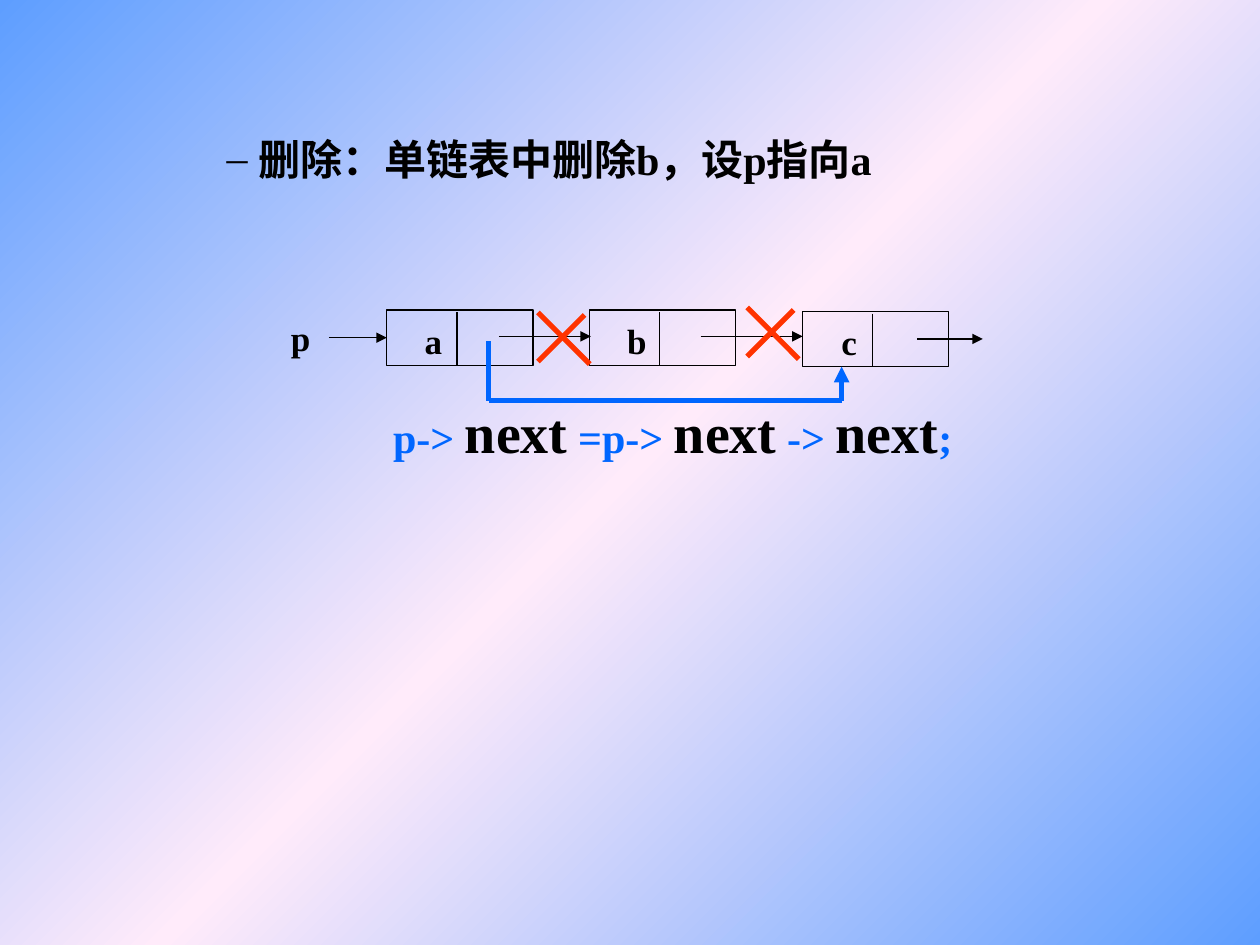
from copy import deepcopy
from pptx import Presentation
from pptx import util as u
from pptx.dml import color
from pptx.enum import shapes, text
from pptx.oxml import ns, xmlchemy as xc

WIDE, HIGH = u.Inches(10), u.Inches(7.5)
COLS, ROWS = 100, 75
BLACK, BLUE, RED = "000000", "0066FF", "FF3300"
FACE = "Times New Roman"


def hue(code):
    return color.RGBColor.from_string(code)


def col(x):
    return round(x * WIDE / COLS)


def row(y):
    return round(y * HIGH / ROWS)


def grid(x, y, w, h):
    return col(x), row(y), col(w), row(h)


def put(item, form):
    for key, val in form.items():
        setattr(item, key, val)


def child(root, tag, **atts):
    node = xc.OxmlElement(tag)
    for key, val in atts.items():
        node.set(key, val)
    root.append(node)
    return node


def back(slide):
    fill = slide.background.fill
    fill.gradient()
    fill.gradient_angle = 135
    stops = slide.element.find(".//" + ns.qn("a:gsLst"))
    stops.append(deepcopy(stops[0]))
    tones = ("5E9EFF", "FFEBFA", "5E9EFF")
    for stop, spot, tone in zip(fill.gradient_stops, (0, 0.5, 1), tones):
        stop.position = spot
        stop.color.rgb = hue(tone)


def line(root, start, end, tone=BLACK, width=0.75, head=False):
    x, y = start
    right, low = end
    wire = root.shapes.add_connector(
        shapes.MSO_CONNECTOR.STRAIGHT, col(x), row(y), col(right), row(low))
    wire.line.color.rgb = hue(tone)
    wire.line.width = u.Pt(width)
    if head:
        child(wire.line._get_or_add_ln(), "a:tailEnd", type="triangle")
    child(wire._element.spPr, "a:effectLst")


def write(root, box, runs, wrap=False, center=True):
    frame = root.shapes.add_textbox(*grid(*box)).text_frame
    put(frame, {"word_wrap": wrap, "vertical_anchor":
                text.MSO_ANCHOR.MIDDLE if center else text.MSO_ANCHOR.TOP})
    para = frame.paragraphs[0]
    if center:
        para.alignment = text.PP_ALIGN.CENTER
    for words, size, tone in runs:
        run = para.add_run()
        run.text = words
        put(run.font, {"name": FACE, "size": u.Pt(size), "bold": True})
        run.font.color.rgb = hue(tone)
    return para


def head(slide, box):
    para = write(slide, box, [("删除：单链表中删除b，设p指向a", 24, BLACK)],
                 wrap=True, center=False)
    props = para._p.get_or_add_pPr()
    for key, val in {"lvl": "3", "marL": str(u.Inches(1.75)),
                     "indent": str(-u.Inches(0.25))}.items():
        props.set(key, val)
    child(child(props, "a:buClr"), "a:srgbClr", val=BLACK)
    child(props, "a:buFont", typeface=FACE)
    child(props, "a:buChar", char="–")


def cell(root, box, name):
    x, y, w, h = box
    rect = root.shapes.add_shape(shapes.MSO_SHAPE.RECTANGLE, *grid(*box))
    rect.shadow.inherit = False
    rect.fill.background()
    rect.line.color.rgb = hue(BLACK)
    rect.line.width = u.Pt(0.75)
    split = x + 0.48 * w
    line(root, (split, y + 0.2), (split, y + h))
    write(root, (x + 2, y + 0.2, 3.4, h), [(name, 20, BLACK)])


def chain(slide, box):
    x, y, w, h = box
    root = slide.shapes.add_group_shape()
    write(root, (x, y, 3.2, h), [("p", 20, BLACK)])
    for name, gap, drop in (("a", 8.6, 0), ("b", 24.7, 0), ("c", 41.6, 0.1)):
        cell(root, (x + gap, y + drop, 11.6, h), name)
    for start, end, drop in ((4, 8.6, 2.2), (17.5, 24.8, 2.1),
                             (33.5, 41.6, 2.1), (50.7, w, 2.3)):
        line(root, (x + start, y + drop), (x + end, y + drop), head=True)


def bend(slide, box):
    x, y, w, h = box
    root = slide.shapes.add_group_shape()
    spots = [(x, y), (x, y + h), (x + w, y + h), (x + w, y + 2)]
    for step, (start, end) in enumerate(zip(spots, spots[1:])):
        line(root, start, end, BLUE, 3, head=step == 2)


def cross(slide, box):
    x, y, w, h = box
    root = slide.shapes.add_group_shape()
    line(root, (x + 0.9 * w, y + 0.2), (x, y + 0.95 * h), RED, 3)
    line(root, (x, y), (x + w, y + h), RED, 3)


def code(slide, box):
    parts = ("p-> ", "next", " =p-> ", "next", " -> ", "next", ";")
    write(slide, box, [(part, 32, BLACK) if part == "next" else
                       (part, 24, BLUE) for part in parts])


def main():
    deck = Presentation()
    put(deck, {"slide_width": WIDE, "slide_height": HIGH})
    slide = deck.slides.add_slide(deck.slide_layouts[6])
    back(slide)
    chain(slide, (22.1, 24.6, 55.9, 4.4))
    bend(slide, (38.8, 27.1, 28, 4.7))
    head(slide, (2, 10.1, 93, 5.2))
    for x, y in ((42.7, 24.8), (59.3, 24.4)):
        cross(slide, (x, y, 4.1, 4.1))
    code(slide, (30.2, 31, 46.4, 6.4))
    deck.save("out.pptx")


if __name__ == "__main__":
    main()
